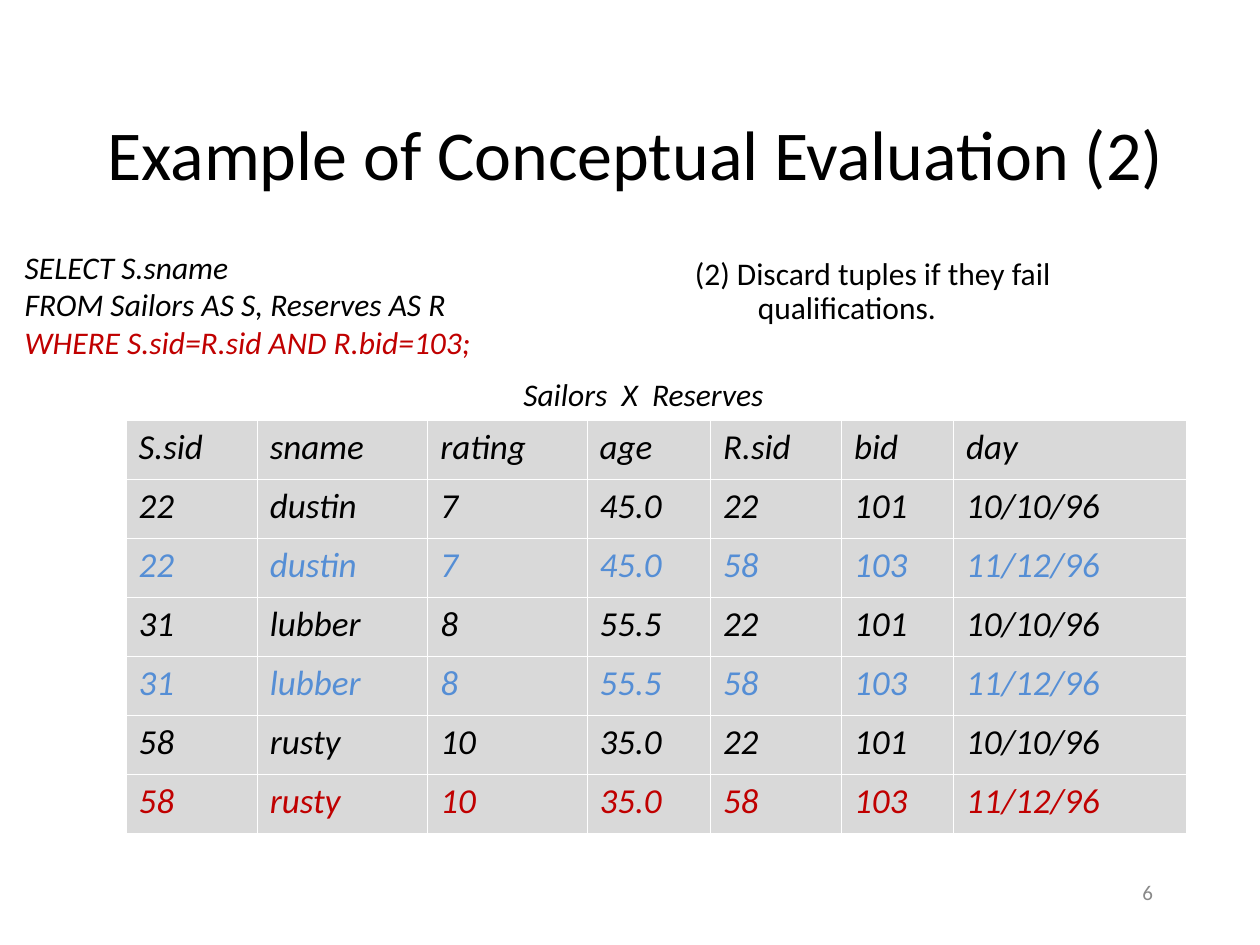
import pptx
import pptx.dml.color
import pptx.enum.text
import pptx.util
from pptx.oxml.ns import qn
from lxml import etree

Pt = pptx.util.Pt
ALIGN = pptx.enum.text.PP_ALIGN
ANCHOR = pptx.enum.text.MSO_ANCHOR
COLORS = {
    "text": "000000",
    "match": "C00000",
    "partial": "558ED5",
    "number": "898989",
    "cell": "D9D9D9",
    "border": "FFFFFF",
}
COLUMN_WIDTHS = [75, 97.5, 91, 70.5, 75, 64, 133]
HEADINGS = ["S.sid", "sname", "rating", "age", "R.sid", "bid", "day"]
SAILORS = [
    ("22", "dustin", "7", "45.0"),
    ("31", "lubber", "8", "55.5"),
    ("58", "rusty", "10", "35.0"),
]
RESERVES = [("22", "101", "10/10/96"), ("58", "103", "11/12/96")]


def rgb(color):
    """Return the named colour as an RGB value."""
    return pptx.dml.color.RGBColor.from_string(COLORS[color])


def write(paragraph, text, size=18, color="text", italic=False,
          align=ALIGN.LEFT, hanging=0, line_spacing=None):
    """Fill a paragraph with formatted text."""
    paragraph.alignment = align
    if line_spacing:
        paragraph.line_spacing = line_spacing
    if hanging:
        properties = paragraph._p.get_or_add_pPr()
        properties.set("marL", str(Pt(hanging)))
        properties.set("indent", str(-Pt(hanging)))
    run = paragraph.add_run()
    run.text = text
    run.font.name = "Calibri"
    run.font.size = Pt(size)
    run.font.italic = italic
    run.font.color.rgb = rgb(color)


def add_text(slide, box, lines, anchor=ANCHOR.TOP, wrap=True, **style):
    """Place lines of (text, colour) in a text box."""
    frame = slide.shapes.add_textbox(*map(Pt, box)).text_frame
    frame.word_wrap = wrap
    frame.vertical_anchor = anchor
    for index, (text, color) in enumerate(lines):
        paragraph = frame.add_paragraph() if index else frame.paragraphs[0]
        write(paragraph, text, color=color, **style)


def add_title(slide, box):
    """Place the slide title."""
    add_text(slide, box, [("Example of Conceptual Evaluation (2)", "text")],
             anchor=ANCHOR.MIDDLE, size=40, align=ALIGN.CENTER)


def add_query(slide, box):
    """Place the query with its condition highlighted."""
    add_text(slide, box, [
        ("SELECT S.sname", "text"),
        ("FROM Sailors AS S, Reserves AS R", "text"),
        ("WHERE S.sid=R.sid AND R.bid=103;", "match"),
    ], wrap=False, italic=True)


def add_step(slide, box):
    """Place the description of the evaluation step."""
    add_text(slide, box,
             [("(2) Discard tuples if they fail qualifications.", "text")],
             hanging=36, line_spacing=0.9)


def add_page_number(slide, box):
    """Place the page number."""
    add_text(slide, box, [("6", "number")], anchor=ANCHOR.MIDDLE,
             size=12, align=ALIGN.RIGHT)


def add_borders(cell):
    """Draw a thin line on every side of a cell."""
    properties = cell._tc.get_or_add_tcPr()
    for position, side in enumerate(("a:lnL", "a:lnR", "a:lnT", "a:lnB")):
        line = etree.Element(qn(side), w=str(Pt(0.45)))
        fill = etree.SubElement(line, qn("a:solidFill"))
        etree.SubElement(fill, qn("a:srgbClr"), val=COLORS["border"])
        properties.insert(position, line)


def tuple_color(sailor, reserve):
    """Choose a colour by which conditions the tuple meets."""
    if reserve[1] != "103":
        return "text"
    return "match" if sailor[0] == reserve[0] else "partial"


def add_product(slide, box):
    """Place the cross product of both relations under its caption."""
    left, top, width, height = box
    caption_height = 29
    add_text(slide, (left + 220, top, 164, caption_height),
             [("Sailors  X  Reserves", "text")], wrap=False, italic=True)
    rows = [(HEADINGS, "text")] + [
        (sailor + reserve, tuple_color(sailor, reserve))
        for sailor in SAILORS for reserve in RESERVES
    ]
    table_height = height - caption_height
    product = slide.shapes.add_table(
        len(rows), len(HEADINGS), Pt(left), Pt(top + caption_height),
        Pt(width), Pt(table_height)).table
    for column, column_width in zip(product.columns, COLUMN_WIDTHS):
        column.width = Pt(column_width)
    for row, (values, color) in zip(product.rows, rows):
        row.height = Pt(table_height / len(rows))
        for cell, value in zip(row.cells, values):
            cell.fill.solid()
            cell.fill.fore_color.rgb = rgb("cell")
            add_borders(cell)
            write(cell.text_frame.paragraphs[0], value, size=20,
                  color=color, italic=True, hanging=27)


def main():
    """Build and save the slide."""
    deck = pptx.Presentation()
    deck.slide_width, deck.slide_height = Pt(720), Pt(540)
    slide = deck.slides.add_slide(deck.slide_layouts[6])
    add_page_number(slide, (516, 492, 150, 36))
    add_title(slide, (48, 42, 630, 90))
    add_step(slide, (390, 144, 294, 46))
    add_product(slide, (72, 211, sum(COLUMN_WIDTHS), 265))
    add_query(slide, (7, 138, 290, 72))
    deck.save("out.pptx")


if __name__ == "__main__":
    main()
